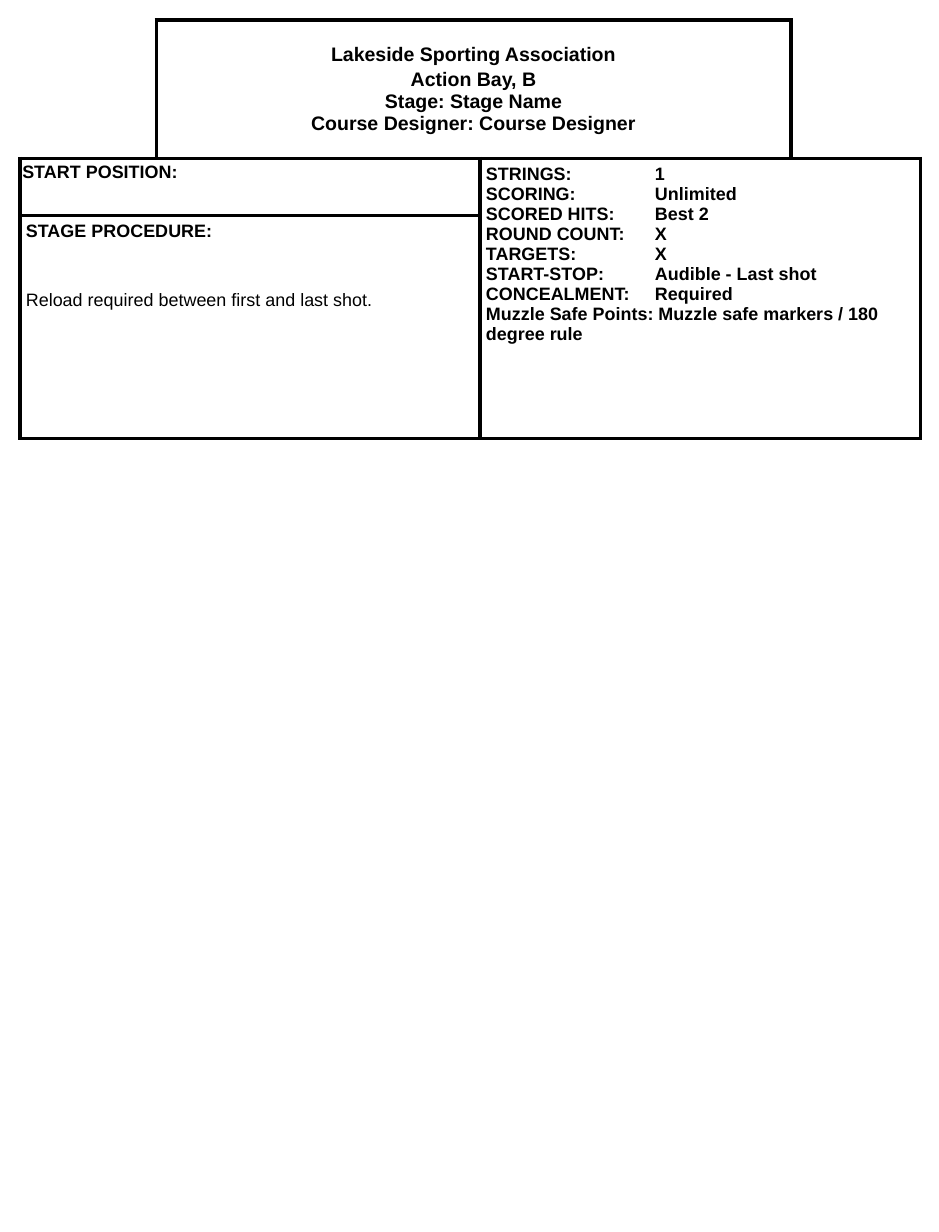
from lxml import etree
from pptx import Presentation
from pptx.dml.color import RGBColor
from pptx.enum.text import MSO_ANCHOR, PP_ALIGN
from pptx.oxml.ns import qn
from pptx.util import Inches, Pt

BLACK = RGBColor(0, 0, 0)
WHITE = RGBColor(255, 255, 255)
CENTER = PP_ALIGN.CENTER
LEFT = PP_ALIGN.LEFT
MIDDLE = MSO_ANCHOR.MIDDLE
TOP = MSO_ANCHOR.TOP
FONT = "Arial"
COLS = (1.16, 2.76, 2.65, 1.1)
ROWS = (1.18, 0.49, 1.9)
EDGE = 0.17
TAB = 1.44

TITLE = (
    "Lakeside Sporting Association",
    "Action Bay, B\vStage: Stage Name\vCourse Designer: Course Designer",
)
FACTS = (
    ("STRINGS:", "1"),
    ("SCORING:", "Unlimited"),
    ("SCORED HITS:", "Best 2"),
    ("ROUND COUNT:", "X"),
    ("TARGETS:", "X"),
    ("START-STOP:", "Audible - Last shot"),
    ("CONCEALMENT:", "Required"),
)
SAFETY = "Muzzle Safe Points: Muzzle safe markers / 180 degree rule"


def add_grid(slide):
    frame = slide.shapes.add_table(
        len(ROWS), len(COLS), Inches(EDGE), Inches(EDGE),
        Inches(sum(COLS)), Inches(sum(ROWS)))
    grid = frame.table
    grid.first_row = grid.horz_banding = False
    for col, width in zip(grid.columns, COLS):
        col.width = Inches(width)
    for row, height in zip(grid.rows, ROWS):
        row.height = Inches(height)
    return grid


def style_cell(cell, sides="LRTB"):
    """Rule the named sides in black, clear the others and fill white."""
    props = cell._tc.get_or_add_tcPr()
    for side in "LRTB":
        line = etree.SubElement(props, qn("a:ln" + side), w=str(Pt(2.25)))
        if side in sides:
            fill = etree.SubElement(line, qn("a:solidFill"))
            etree.SubElement(fill, qn("a:srgbClr"), val=str(BLACK))
        else:
            etree.SubElement(line, qn("a:noFill"))
    cell.fill.solid()
    cell.fill.fore_color.rgb = WHITE


def set_pad(cell, across, down):
    cell.margin_left = cell.margin_right = Inches(across)
    cell.margin_top = cell.margin_bottom = Inches(down)


def add_tab(para):
    props = para._p.get_or_add_pPr()
    tabs = etree.SubElement(props, qn("a:tabLst"))
    etree.SubElement(tabs, qn("a:tab"), pos=str(Inches(TAB)), algn="l")


def write(cell, lines, size=11, align=LEFT, anchor=TOP, gap=0, pad=(0.05, 0.05)):
    set_pad(cell, *pad)
    cell.vertical_anchor = anchor
    frame = cell.text_frame
    for i, text in enumerate(lines):
        para = frame.add_paragraph() if i else frame.paragraphs[0]
        para.text = text
        para.alignment = align
        if i:
            para.space_before = Pt(gap)
        if "\t" in text:
            add_tab(para)
        font = para.font
        font.name, font.size, font.bold = FONT, Pt(size), True
        font.color.rgb = BLACK
    return frame.paragraphs


def main():
    deck = Presentation()
    deck.slide_width, deck.slide_height = Inches(8), Inches(10.5)
    slide = deck.slides.add_slide(deck.slide_layouts[6])
    grid = add_grid(slide)

    corners = {(0, 0): "RB", (0, 3): "LB"}
    for r in range(len(ROWS)):
        for c in range(len(COLS)):
            style_cell(grid.cell(r, c), corners.get((r, c), "LRTB"))
    for start, end in (((0, 1), (0, 2)), ((1, 0), (1, 1)),
                       ((2, 0), (2, 1)), ((1, 2), (2, 3))):
        grid.cell(*start).merge(grid.cell(*end))

    write(grid.cell(0, 1), TITLE, size=12, align=CENTER, anchor=MIDDLE, gap=2)
    write(grid.cell(1, 0), ["START POSITION:"], pad=(0.02, 0.03))
    write(grid.cell(1, 2), ["\t".join(fact) for fact in FACTS] + [SAFETY])
    steps = write(grid.cell(2, 0), [
        "STAGE PROCEDURE:", "Reload required between first and last shot."], gap=30)
    steps[-1].font.bold = False

    deck.save("out.pptx")


if __name__ == "__main__":
    main()
